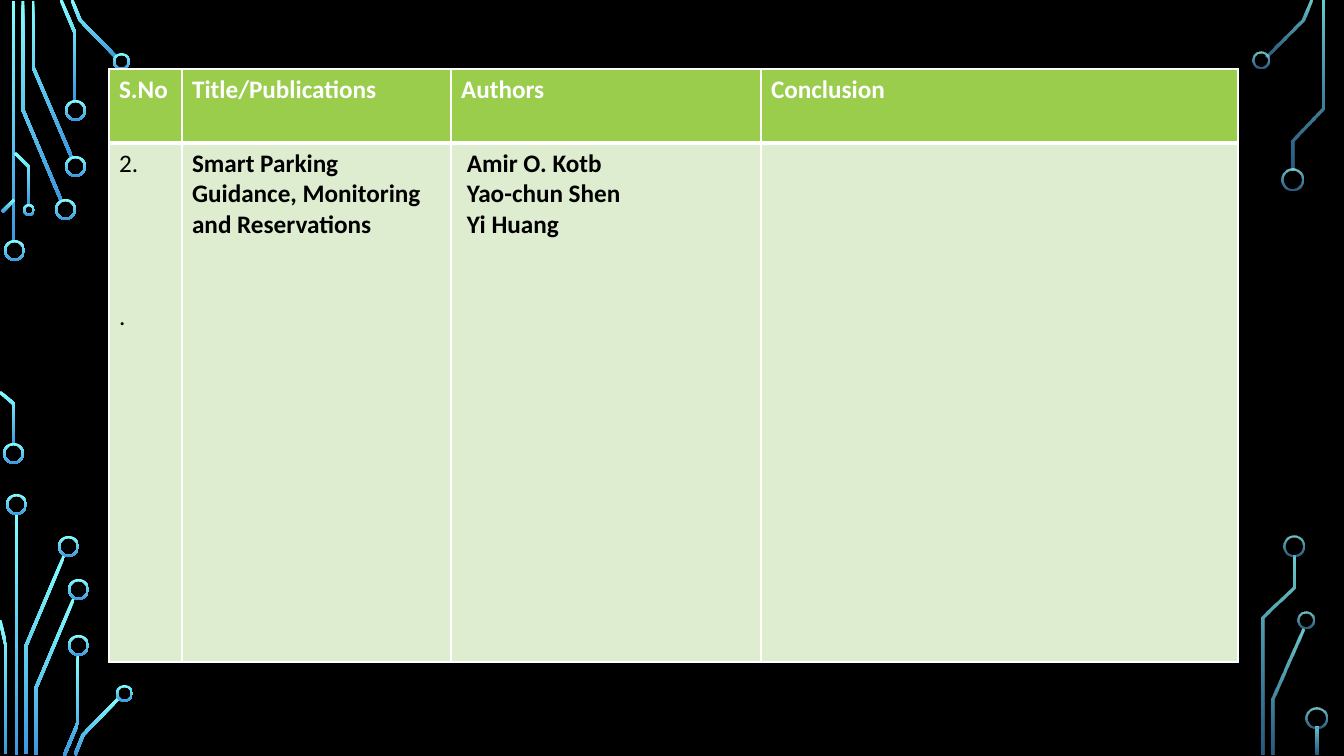
from itertools import pairwise

from lxml import etree
from pptx import Presentation
from pptx import util as u
from pptx.dml.color import RGBColor
from pptx.enum import shapes
from pptx.oxml.ns import qn

PX = 914400 / 100.8
SLIDE = (1344, 756)
FONT, SIZE = "Calibri", 18
BLACK, WHITE, GREEN, PALE = "000000", "FFFFFF", "9ACD4C", "DEEDD0"
CYAN, BLUE = "82FFFF", "3D97DE"
TRACE_W, RING_W = 3, 2
BIG, SMALL, TINY = 21, 17, 12

# Each side: opacity percent of the two gradient stops, then its circuit parts.
# bars: left, top, height; traces: centre line; rings: left, top, diameter
SIDES = [
    {
        "opacity": (100, 100),
        "bars": [(12, 1, 241), (15, 514, 241)],
        "traces": [
            [(61, 200), (23, 110), (23, 1)],
            [(72, 158), (33, 67), (33, 1)],
            [(75, 101), (75, 33), (61, 0)],
            [(116, 57), (80, 20), (72, 0)],
            [(2, 212), (14, 200)],
            [(14, 444), (14, 404), (0, 392)],
            [(29, 205), (29, 167), (15, 153)],
            [(26, 754), (26, 646), (64, 556)],
            [(6, 754), (6, 646), (0, 620)],
            [(36, 755), (36, 688), (74, 598)],
            [(64, 756), (78, 723), (78, 655)],
            [(75, 755), (83, 735), (119, 698)],
        ],
        "rings": [
            (4, 240, BIG), (3, 443, BIG), (55, 199, BIG), (65, 156, BIG),
            (65, 100, BIG), (113, 53, SMALL), (23, 204, TINY), (6, 494, BIG),
            (58, 536, BIG), (68, 579, BIG), (68, 635, BIG), (116, 685, SMALL),
        ],
    },
    {
        "opacity": (80, 60),
        "bars": [(1316, 727, 28)],
        "traces": [
            [(1267, 56), (1303, 20), (1311, 0)],
            [(1273, 755), (1273, 699), (1303, 629)],
            [(1293, 170), (1293, 140), (1323, 108), (1323, 1)],
            [(1263, 755), (1263, 618), (1294, 588), (1294, 556)],
        ],
        "rings": [
            (1253, 52, SMALL), (1282, 169, BIG), (1298, 612, SMALL),
            (1283, 536, BIG), (1306, 708, BIG),
        ],
    },
]

TABLE_AT = (109, 69)
COLS, ROWS = (73, 269, 310, 477), (74, 519)
HEADER = ["S.No", "Title/Publications", "Authors", "Conclusion"]
ENTRY = [
    ["2.", "."],
    ["Smart Parking Guidance, Monitoring and Reservations"],
    ["Amir O. Kotb", "Yao-chun Shen", "Yi Huang"],
    [],
]
NUMBER_COL, AUTHOR_COL = 0, 2
AUTHOR_MARGIN = 16
NUMBER_GAP = 88  # points, four lines


def px(n):
    return u.Emu(round(n * PX))


def rgb(color):
    return RGBColor.from_string(color)


def paint(sp, opacity):
    """Vertical cyan-to-blue fill with no line or shadow."""
    sp.shadow.inherit = False
    sp.line.fill.background()
    sp.fill.gradient()
    sp.fill.gradient_angle = 270
    for stop, color, percent in zip(sp.fill.gradient_stops, (CYAN, BLUE), opacity):
        stop.color.rgb = rgb(color)
    if min(opacity) < 100:
        colors = sp._element.spPr.iter(qn("a:srgbClr"))
        for clr, percent in zip(list(colors), opacity):
            etree.SubElement(clr, qn("a:alpha"), val=str(percent * 1000))


def outline(points):
    """Widen a centre line into a polygon with mitred corners."""
    line = [complex(*pt) for pt in points]
    normals = [(b - a) / abs(b - a) * 1j for a, b in pairwise(line)]
    joints = pairwise([normals[0], *normals, normals[-1]])
    shifts = [(m + n) / (1 + (m * n.conjugate()).real) * TRACE_W / 2 for m, n in joints]
    left = [c + d for c, d in zip(line, shifts)]
    right = [c - d for c, d in zip(line, shifts)]
    return [(px(c.real), px(c.imag)) for c in left + right[::-1]]


def draw_side(s, side):
    parts = []
    for x, y, h in side["bars"]:
        parts.append(s.shapes.add_shape(
            shapes.MSO_SHAPE.RECTANGLE, px(x), px(y), px(TRACE_W), px(h)))
    for points in side["traces"]:
        start, *rest = outline(points)
        builder = s.shapes.build_freeform(*start)
        builder.add_line_segments(rest, close=True)
        parts.append(builder.convert_to_shape())
    for x, y, size in side["rings"]:
        ring = s.shapes.add_shape(shapes.MSO_SHAPE.DONUT, px(x), px(y), px(size), px(size))
        ring.adjustments[0] = RING_W / size
        parts.append(ring)
    for sp in parts:
        paint(sp, side["opacity"])


def set_borders(cell, top, bottom):
    tcPr = cell._tc.get_or_add_tcPr()
    widths = {"lnL": 1, "lnR": 1, "lnT": top, "lnB": bottom}
    for i, (tag, width) in enumerate(widths.items()):
        ln = etree.Element(qn(f"a:{tag}"), w=str(u.Pt(width)))
        fill = etree.SubElement(ln, qn("a:solidFill"))
        etree.SubElement(fill, qn("a:srgbClr"), val=WHITE)
        tcPr.insert(i, ln)


def fill_cell(cell, lines, back, color, bold):
    cell.fill.solid()
    cell.fill.fore_color.rgb = rgb(back)
    tf = cell.text_frame
    tf.text = "\n".join(lines)
    for p in tf.paragraphs:
        p.font.name, p.font.size, p.font.bold = FONT, u.Pt(SIZE), bold
        p.font.color.rgb = rgb(color)


def draw_table(s):
    frame = s.shapes.add_table(
        len(ROWS), len(COLS), *map(px, (*TABLE_AT, sum(COLS), sum(ROWS))))
    table = frame.table
    for row, h in zip(table.rows, ROWS):
        row.height = px(h)
    for col, w in zip(table.columns, COLS):
        col.width = px(w)
    for i, (title, lines) in enumerate(zip(HEADER, ENTRY)):
        head, body = table.cell(0, i), table.cell(1, i)
        fill_cell(head, [title], GREEN, WHITE, True)
        fill_cell(body, lines, PALE, BLACK, i != NUMBER_COL)
        set_borders(head, 1, 3)
        set_borders(body, 3, 1)
    table.cell(1, NUMBER_COL).text_frame.paragraphs[-1].space_before = u.Pt(NUMBER_GAP)
    table.cell(1, AUTHOR_COL).margin_left = px(AUTHOR_MARGIN)


def main():
    prs = Presentation()
    prs.slide_width, prs.slide_height = map(px, SLIDE)
    s = prs.slides.add_slide(prs.slide_layouts[6])
    s.background.fill.solid()
    s.background.fill.fore_color.rgb = rgb(BLACK)
    for side in SIDES:
        draw_side(s, side)
    draw_table(s)
    prs.save("out.pptx")


if __name__ == "__main__":
    main()
